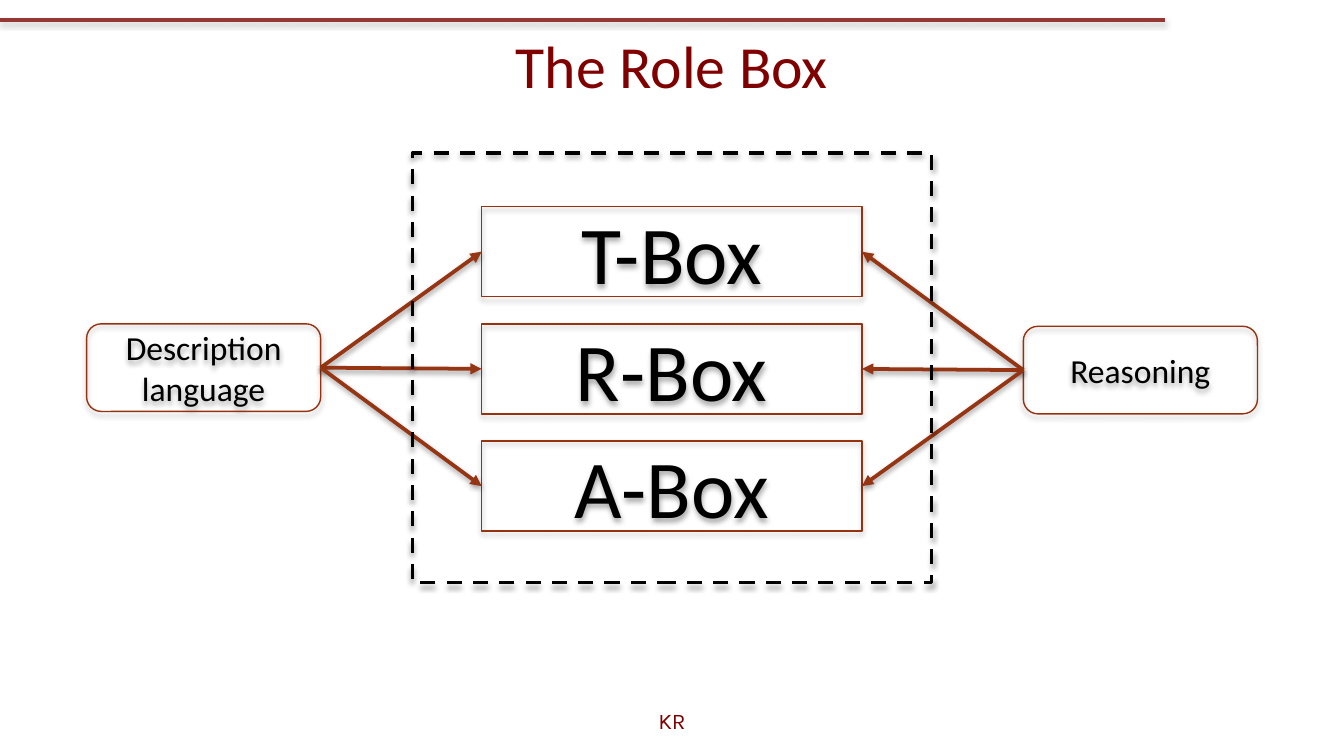
from dataclasses import dataclass

from lxml import etree
from pptx import Presentation
from pptx import util as u
from pptx.dml.color import RGBColor
from pptx.enum import dml, shapes, text
from pptx.oxml import ns

# The grid: 100 columns over the width of a 16:9 slide, with square cells
WIDTH = u.Inches(10)
HEIGHT = WIDTH * 9 // 16
CELL = WIDTH / 100

BLACK, MAROON, RUST, BRICK = "000000", "800000", "96320F", "963513"
RULE_RED, GREY = "953735", "808080"
LEFT_SITE, RIGHT_SITE = 1, 3


@dataclass
class Area:
    column: float
    row: float
    columns: float
    rows: float

    def lengths(self) -> list[int]:
        return [cells(n) for n in (self.column, self.row, self.columns, self.rows)]


@dataclass
class Node:
    label: str
    area: Area
    size: int = 18
    outline: str = RUST
    weight: float = 0.75
    kind: shapes.MSO_SHAPE = shapes.MSO_SHAPE.ROUNDED_RECTANGLE


def cells(count: float) -> int:
    return round(count * CELL)


def colour(value: str) -> RGBColor:
    return RGBColor.from_string(value)


def set_line(item, value: str, weight: float) -> None:
    item.line.color.rgb = colour(value)
    item.line.width = u.Pt(weight)


def add_shadow(item, value: str, opacity: int, distance: float) -> None:
    """Put a soft shadow straight below a shape or connector."""
    effects = etree.SubElement(item._element.spPr, ns.qn("a:effectLst"))
    shadow = etree.SubElement(
        effects, ns.qn("a:outerShdw"), blurRad=str(u.Pt(3.1)),
        dist=str(u.Pt(distance)), dir="5400000", rotWithShape="0")
    tint = etree.SubElement(shadow, ns.qn("a:srgbClr"), val=value)
    etree.SubElement(tint, ns.qn("a:alpha"), val=str(opacity * 1000))


def write(box, label: str, size: int, value: str, font: str = "Calibri") -> None:
    frame = box.text_frame
    frame.text = label
    frame.word_wrap = True
    frame.auto_size = text.MSO_AUTO_SIZE.NONE
    frame.vertical_anchor = text.MSO_ANCHOR.MIDDLE
    para = frame.paragraphs[0]
    para.alignment = text.PP_ALIGN.CENTER
    for span in para.runs:
        span.font.size = u.Pt(size)
        span.font.name = font
        span.font.color.rgb = colour(value)


def draw_node(page, node: Node):
    box = page.shapes.add_shape(node.kind, *node.area.lengths())
    box.fill.background()
    set_line(box, node.outline, node.weight)
    add_shadow(box, BLACK, 35, 1.8)
    if node.label:
        write(box, node.label, node.size, BLACK)
    return box


def draw_arrow(page, source, source_site: int, target, target_site: int) -> None:
    arrow = page.shapes.add_connector(shapes.MSO_CONNECTOR.STRAIGHT, 0, 0, 0, 0)
    arrow.begin_connect(source, source_site)
    arrow.end_connect(target, target_site)
    set_line(arrow, BRICK, 2)
    etree.SubElement(arrow.line._get_or_add_ln(), ns.qn("a:tailEnd"), type="triangle")
    add_shadow(arrow, BLACK, 38, 1.6)


def main() -> None:
    deck = Presentation()
    deck.slide_width, deck.slide_height = WIDTH, HEIGHT
    page = deck.slides.add_slide(deck.slide_layouts[5])

    # Rule across the top
    rule = page.shapes.add_connector(
        shapes.MSO_CONNECTOR.STRAIGHT, 0, cells(1.5), cells(86.7), cells(1.5))
    set_line(rule, RULE_RED, 2)
    add_shadow(rule, GREY, 38, 1.6)

    # Title and footer
    title = page.shapes.title
    title.left, title.top, title.width, title.height = Area(5, 0.1, 90, 9.4).lengths()
    write(title, "The Role Box", 32, MAROON)
    footer = page.shapes.add_textbox(*Area(34.15, 52.15, 31.7, 3).lengths())
    write(footer, "KR", 12, MAROON, "Karla")

    # Stack of knowledge boxes
    boxes = [
        draw_node(page, Node(f"{letter}-Box", Area(35.84, 15.38 + 8.72 * index, 28.3, 6.7),
                             size=44, kind=shapes.MSO_SHAPE.RECTANGLE))
        for index, letter in enumerate("TRA")
    ]

    # Side nodes, then their arrows to every box
    language = draw_node(page, Node("Description language", Area(6.44, 24.1, 17.42, 6.52)))
    reasoning = draw_node(page, Node("Reasoning", Area(76.14, 24.28, 17.42, 6.52)))
    for side, start, end in ((language, RIGHT_SITE, LEFT_SITE),
                             (reasoning, LEFT_SITE, RIGHT_SITE)):
        for box in boxes:
            draw_arrow(page, side, start, box, end)

    # Dashed frame around the stack
    frame = draw_node(page, Node("", Area(30.7, 11.38, 38.62, 31.96), outline=BLACK,
                                 weight=2, kind=shapes.MSO_SHAPE.RECTANGLE))
    frame.line.dash_style = dml.MSO_LINE.DASH

    deck.save("out.pptx")


if __name__ == "__main__":
    main()
